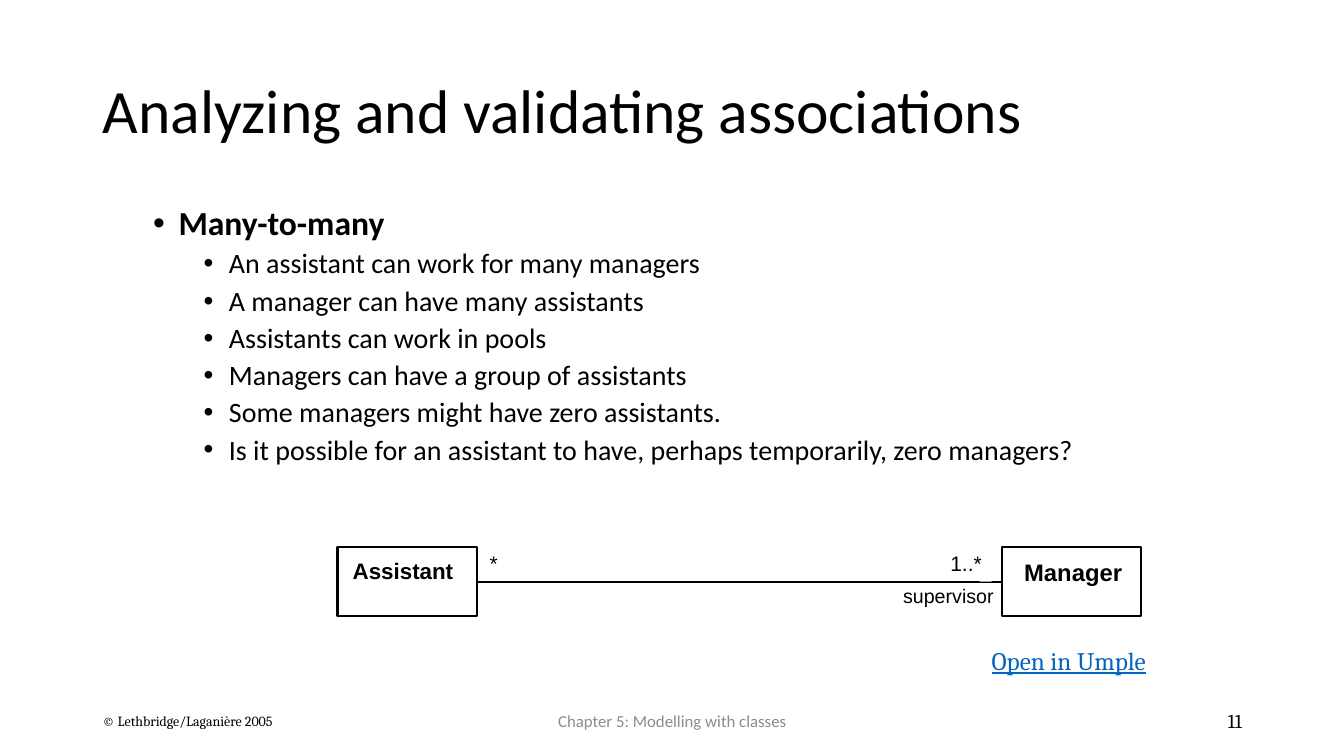
from lxml import etree
from pptx import Presentation
from pptx import util as u
from pptx.dml.color import RGBColor
from pptx.enum import shapes, text
from pptx.oxml import ns

BLACK, WHITE, GRAY, LINK = "000000", "FFFFFF", "8C8C8C", "0563C1"
LEFT, CENTER, RIGHT = text.PP_ALIGN.LEFT, text.PP_ALIGN.CENTER, text.PP_ALIGN.RIGHT


def color(value):
    return RGBColor.from_string(value)


class SlideBuilder:
    """Holds the style and the current slide and adds each kind of element."""

    body_font, serif_font, diagram_font = "Calibri", "Cambria", "Arial"
    line_width = u.Pt(1.75)

    def __init__(self, slide):
        self.slide = slide

    def style(self, paragraph, size, font, fill=BLACK, bold=False, underline=False):
        for run in paragraph.runs:
            run.font.size = u.Pt(size)
            run.font.name = font
            run.font.bold = bold
            run.font.underline = underline
            run.font.color.rgb = color(fill)

    def frame(self, left, top, width, height, wrap=True):
        box = self.slide.shapes.add_textbox(u.Cm(left), u.Cm(top), u.Cm(width), u.Cm(height))
        frame = box.text_frame
        frame.word_wrap = wrap
        if not wrap:
            frame.auto_size = text.MSO_AUTO_SIZE.SHAPE_TO_FIT_TEXT
        return frame

    def text(self, words, area, size, font, align=LEFT, spacing=None, **look):
        frame = self.frame(*area)
        frame.vertical_anchor = text.MSO_ANCHOR.MIDDLE
        frame.text = words
        paragraph = frame.paragraphs[0]
        paragraph.alignment = align
        paragraph.line_spacing = spacing
        self.style(paragraph, size, font, **look)

    def label(self, words, area, size, bold=False):
        frame = self.frame(*area, wrap=False)
        frame.margin_left = frame.margin_right = frame.margin_top = frame.margin_bottom = 0
        frame.text = words
        self.style(frame.paragraphs[0], size, self.diagram_font, bold=bold)

    def bullets(self, items, area):
        frame = self.frame(*area)
        frame.text = "\n".join(words for words, level in items)
        for index, (paragraph, (words, level)) in enumerate(zip(frame.paragraphs, items)):
            paragraph.level = level
            paragraph.line_spacing = 0.9
            if index:
                paragraph.space_before = u.Pt(5)
            properties = paragraph._p.get_or_add_pPr()
            properties.set("marL", str(u.Cm(0.64 + 1.27 * level)))
            properties.set("indent", str(-u.Cm(0.64)))
            font = etree.SubElement(properties, ns.qn("a:buFont"))
            font.set("typeface", "Arial")
            etree.SubElement(properties, ns.qn("a:buChar")).set("char", "•")
            self.style(paragraph, 24 if level == 1 else 20, self.body_font, bold=level == 1)

    def rectangle(self, left, top, width, height, fill=None, line=None):
        shape = self.slide.shapes.add_shape(
            shapes.MSO_SHAPE.RECTANGLE, u.Cm(left), u.Cm(top), u.Cm(width), u.Cm(height))
        shape.shadow.inherit = False
        if fill:
            shape.fill.solid()
            shape.fill.fore_color.rgb = color(fill)
        else:
            shape.fill.background()
        if line:
            shape.line.color.rgb = color(line)
            shape.line.width = self.line_width
        else:
            shape.line.fill.background()

    def line(self, start, end, y):
        connector = self.slide.shapes.add_connector(
            shapes.MSO_CONNECTOR.STRAIGHT, u.Cm(start), u.Cm(y), u.Cm(end), u.Cm(y))
        connector.line.color.rgb = color(BLACK)
        connector.line.width = self.line_width
        etree.SubElement(connector._element.spPr, ns.qn("a:effectLst"))


def main():
    presentation = Presentation()
    presentation.slide_width, presentation.slide_height = u.Cm(33.87), u.Cm(19.05)
    slide = presentation.slides.add_slide(presentation.slide_layouts[6])
    builder = SlideBuilder(slide)
    body, serif = builder.body_font, builder.serif_font

    builder.text("Analyzing and validating associations", (2.34, 1.02, 29.21, 3.68), 44, body,
                 spacing=0.9)
    builder.bullets([
        ("Many-to-many", 1),
        ("An assistant can work for many managers", 2),
        ("A manager can have many assistants", 2),
        ("Assistants can work in pools", 2),
        ("Managers can have a group of assistants", 2),
        ("Some managers might have zero assistants.", 2),
        ("Is it possible for an assistant to have, perhaps temporarily, zero managers?", 2),
    ], (2.34, 5.08, 29.21, 12.09))

    builder.line(12.04, 25.22, 14.66)
    builder.rectangle(24.69, 13.87, 0.3, 0.79, fill=WHITE)
    for left in (8.51, 25.25):
        builder.rectangle(left, 13.79, 3.51, 1.73, line=BLACK)
    builder.label("Assistant", (8.89, 14.05, 2.6, 0.69), 16, bold=True)
    builder.label("Manager", (25.81, 14.05, 2.55, 0.74), 17, bold=True)
    builder.label("*", (12.34, 13.87, 0.25, 0.64), 15)
    builder.label("1..*", (23.95, 13.87, 0.9, 0.64), 15)
    builder.label("supervisor", (22.76, 14.71, 2.35, 0.61), 14)
    builder.text("Open in Umple", (24.74, 16.13, 4.47, 1.02, False), 18, serif,
                 fill=LINK, underline=True)

    builder.text("© Lethbridge/Laganière 2005", (2.34, 17.65, 7.62, 1.02), 10, serif)
    builder.text("Chapter 5: Modelling with classes", (11.23, 17.65, 11.43, 1.02), 12, body,
                 align=CENTER, fill=GRAY)
    builder.text("11", (23.93, 17.65, 7.62, 1.02), 14, serif, align=RIGHT)

    presentation.save("out.pptx")


if __name__ == "__main__":
    main()
